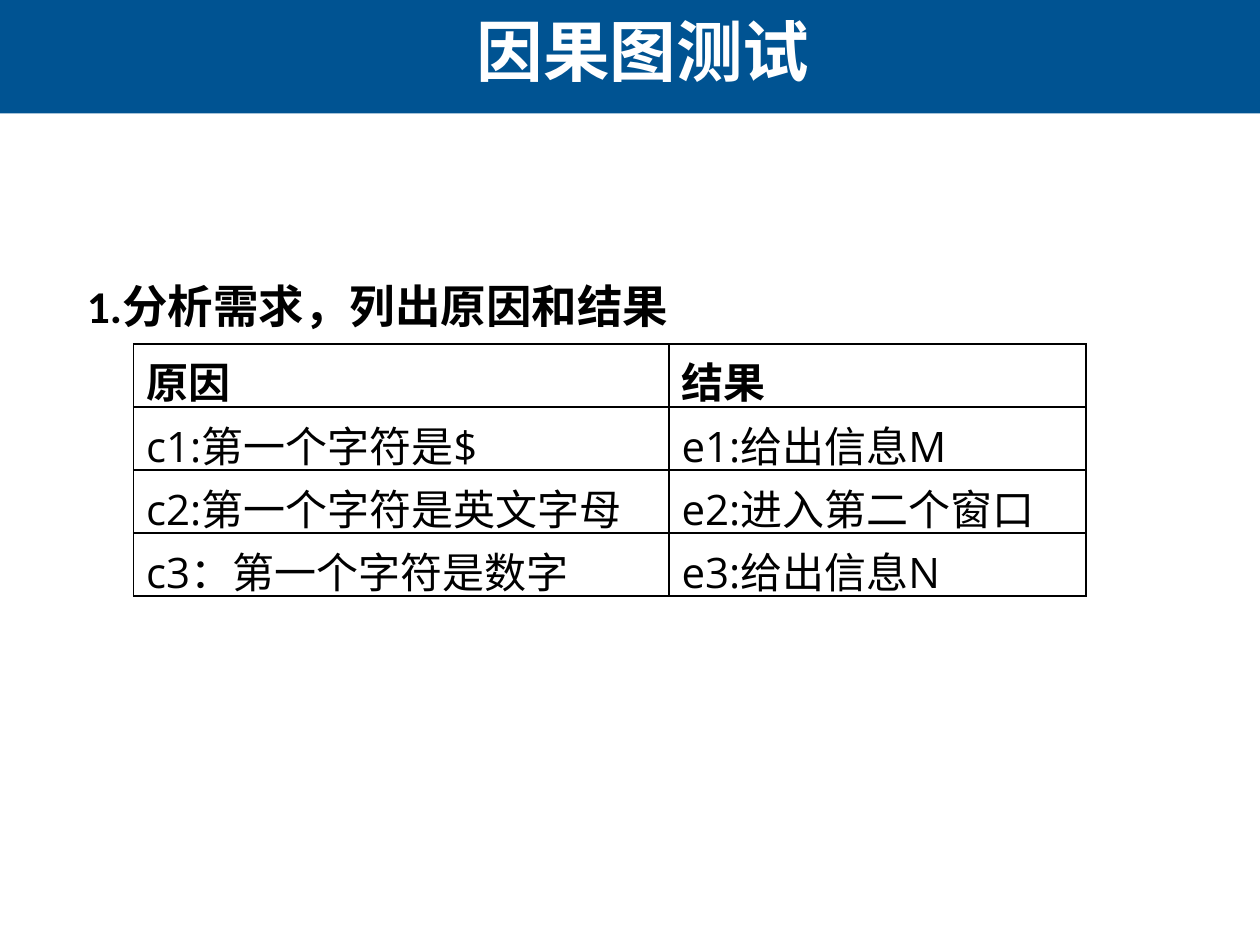
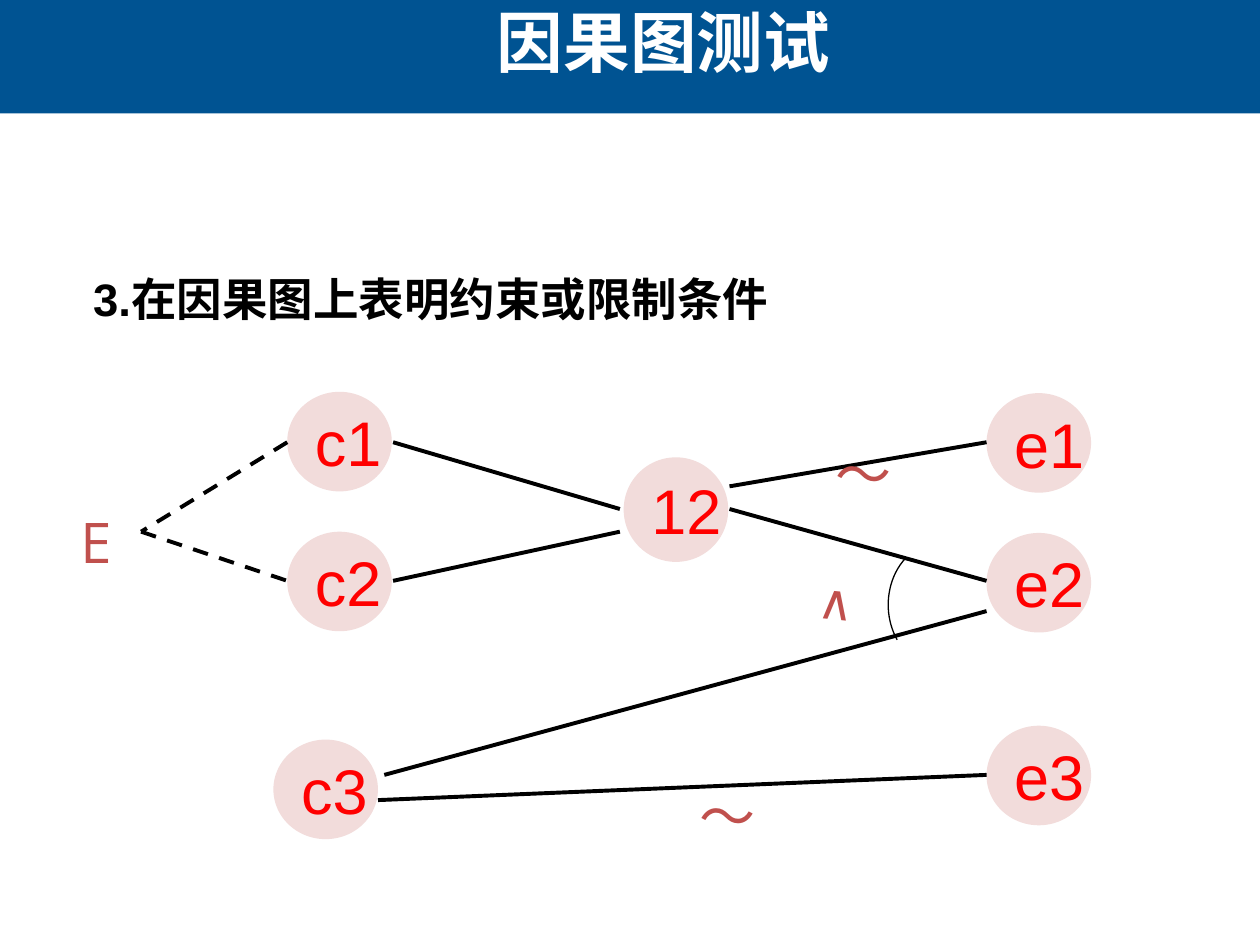
"""Builds two slides on cause-effect graph testing: a table of causes and effects, and the graph."""
from lxml import etree
from pptx import Presentation
from pptx import util as u
from pptx.dml.color import RGBColor
from pptx.enum import dml, shapes, text
from pptx.oxml import ns

WIDTH, HEIGHT = 10, 7.5
BLUE = RGBColor(0x00, 0x53, 0x92)
NAVY = RGBColor(0x1F, 0x49, 0x7D)
WHITE = RGBColor(0xFF, 0xFF, 0xFF)
BLACK = RGBColor(0, 0, 0)
RED = RGBColor(0xFF, 0, 0)
BRICK = RGBColor(0xC0, 0x50, 0x4D)
PINK = RGBColor(0xF2, 0xDC, 0xDB)
CJK, LATIN, LABEL = "Noto Sans CJK SC", "Arial", "Open Sans"
NODE_W, NODE_H = 0.83, 0.79
LEFT_COL, MID_COL, RIGHT_COL = 2.28, 4.95, 7.83
TOP_ROW, SECOND_ROW = 3.11, 4.22

CAUSES_EFFECTS = [
    ("原因", "结果"),
    ("c1:第一个字符是$", "e1:给出信息M"),
    ("c2:第一个字符是英文字母", "e2:进入第二个窗口"),
    ("c3：第一个字符是数字", "e3:给出信息N"),
]
NODES = [
    ("c1", LEFT_COL, TOP_ROW, NODE_H),
    ("c2", LEFT_COL, SECOND_ROW, NODE_H),
    ("c3", 2.17, 5.87, NODE_H),
    ("12", MID_COL, 3.63, NODE_W),
    ("e1", RIGHT_COL, TOP_ROW + 0.01, NODE_H),
    ("e2", RIGHT_COL, SECOND_ROW + 0.01, NODE_H),
    ("e3", RIGHT_COL, 5.76, NODE_H),
]
EDGES = [
    ((3.12, 3.51), (4.92, 4.04)),
    ((3.12, 4.61), (4.92, 4.22)),
    ((RIGHT_COL, 3.51), (5.79, 3.86)),
    ((RIGHT_COL, 4.61), (5.79, 4.04)),
    ((3.05, 6.15), (RIGHT_COL, 4.85)),
    ((3, 6.35), (RIGHT_COL, 6.15)),
]
EXCLUSIONS = [((LEFT_COL, 3.51), (1.12, 4.22)), ((1.12, 4.22), (LEFT_COL, 4.61))]
LABELS = [
    ("E", (0.54, 3.98, 1, 0.64), 32, 0),
    ("～", (5.45, 6.15, 0.92, 0.63), 32, 0),
    ("～", (6.53, 3.44, 0.92, 0.63), 32, 0),
    ("∨", (6.29, 4.56, 0.58, 0.57), 28, 185.7),
]


def inches(*lengths):
    return [u.Inches(n) for n in lengths]


def add_run(p, words, size, font, color, bold=False):
    r = p.add_run()
    r.text = words
    r.font.size, r.font.name, r.font.bold = u.Pt(size), font, bold
    r.font.color.rgb = color
    ea = etree.SubElement(r.font._element, ns.qn("a:ea"))
    ea.set("typeface", CJK)


def add_text(s, box):
    sp = s.shapes.add_textbox(*inches(*box))
    sp.text_frame.word_wrap = True
    return sp


def add_slide(prs, title_left, title_top):
    s = prs.slides.add_slide(prs.slide_layouts[6])
    band = s.shapes.add_shape(shapes.MSO_SHAPE.RECTANGLE, *inches(0, 0, WIDTH, 0.12 * HEIGHT))
    band.shadow.inherit = False
    band.fill.solid()
    band.fill.fore_color.rgb = BLUE
    band.line.fill.background()
    tf = add_text(s, (title_left, title_top, 8.75, 1.33)).text_frame
    tf.vertical_anchor = text.MSO_ANCHOR.MIDDLE
    p = tf.paragraphs[0]
    p.alignment = text.PP_ALIGN.CENTER
    add_run(p, " ", 38, CJK, NAVY, True)
    add_run(p, "因果图测试", 38, CJK, WHITE, True)
    return s


def add_heading(s, left, top, words, font):
    p = add_text(s, (left, top, 8.62, 5.53)).text_frame.paragraphs[0]
    p.alignment = text.PP_ALIGN.JUSTIFY
    p.line_spacing = 1.3
    add_run(p, words, 26, font, BLACK, True)


def set_borders(cell):
    props = cell._tc.get_or_add_tcPr()
    for i, side in enumerate(("lnL", "lnR", "lnT", "lnB")):
        ln = etree.Element(ns.qn("a:" + side), w=str(u.Pt(1)))
        fill = etree.SubElement(ln, ns.qn("a:solidFill"))
        etree.SubElement(fill, ns.qn("a:srgbClr"), val=str(BLACK))
        props.insert(i, ln)


def add_cause_table(s):
    frame = s.shapes.add_table(len(CAUSES_EFFECTS), 2, *inches(1.06, 2.73, 7.56, 2.4))
    table = frame.table
    table.first_row = table.horz_banding = False
    for column, width in zip(table.columns, (4.25, 3.31)):
        column.width = u.Inches(width)
    for i, words in enumerate(CAUSES_EFFECTS):
        table.rows[i].height = u.Inches(0.41 if i else 0.15)
        for j, entry in enumerate(words):
            cell = table.cell(i, j)
            cell.fill.background()
            set_borders(cell)
            add_run(cell.text_frame.paragraphs[0], entry, 24, LABEL, BLACK, i == 0)
    frame.height = u.Inches(2.4)


def add_node(s, name, left, top, height):
    sp = s.shapes.add_shape(shapes.MSO_SHAPE.OVAL, *inches(left, top, NODE_W, height))
    sp.shadow.inherit = False
    sp.fill.solid()
    sp.fill.fore_color.rgb = PINK
    sp.line.fill.background()
    tf = sp.text_frame
    tf.word_wrap = False
    tf.vertical_anchor = text.MSO_ANCHOR.MIDDLE
    p = tf.paragraphs[0]
    p.alignment = text.PP_ALIGN.LEFT
    add_run(p, name, 36, LATIN, RED)


def add_edge(s, start, end, dashed=False):
    edge = s.shapes.add_connector(shapes.MSO_CONNECTOR.STRAIGHT, *inches(*start, *end))
    edge.line.color.rgb = BLACK
    edge.line.width = u.Pt(2.25)
    if dashed:
        edge.line.dash_style = dml.MSO_LINE.DASH
    etree.SubElement(edge._element.spPr, ns.qn("a:effectLst"))


def add_label(s, words, box, size, rotation):
    sp = add_text(s, box)
    sp.rotation = rotation
    sp.text_frame.auto_size = text.MSO_AUTO_SIZE.SHAPE_TO_FIT_TEXT
    add_run(sp.text_frame.paragraphs[0], words, size, LABEL, BRICK)


def add_and_arc(s):
    arc = s.shapes.add_shape(shapes.MSO_SHAPE.ARC, *inches(7.05, 4.3, 0.84, 1))
    arc.adjustments[0], arc.adjustments[1] = 84.85, 140.21
    arc.shadow.inherit = False
    arc.fill.background()
    arc.line.color.rgb = BLACK
    arc.line.width = u.Pt(0.75)


def main():
    prs = Presentation()
    prs.slide_width, prs.slide_height = inches(WIDTH, HEIGHT)

    s = add_slide(prs, 0.67, -0.27)
    add_heading(s, 0.59, 2.03, "1.分析需求，列出原因和结果", "Calibri")
    add_cause_table(s)

    s = add_slide(prs, 0.83, -0.34)
    add_heading(s, 0.64, 1.97, "3.在因果图上表明约束或限制条件", LATIN)
    for node in NODES:
        add_node(s, *node)
    for start, end in EXCLUSIONS:
        add_edge(s, start, end, dashed=True)
    for start, end in EDGES:
        add_edge(s, start, end)
    add_and_arc(s)
    for label in LABELS:
        add_label(s, *label)

    prs.save("out.pptx")


main()
